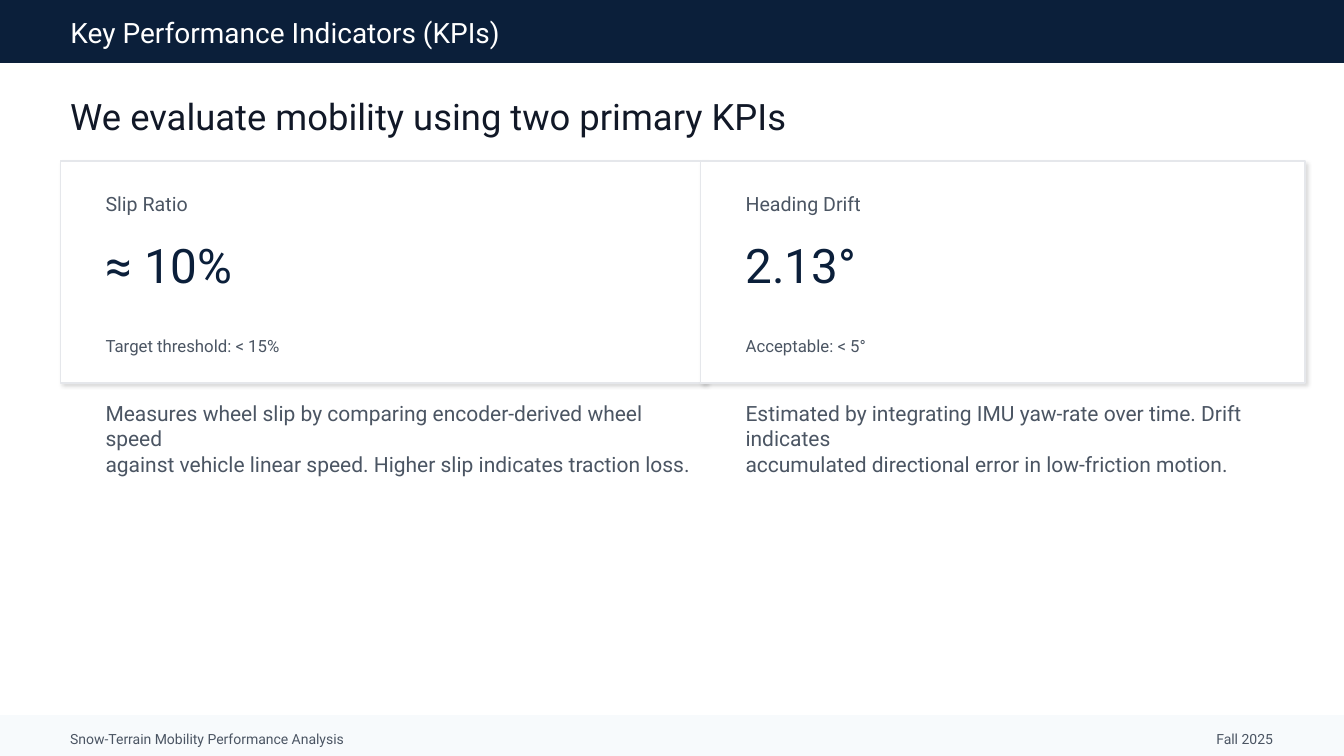
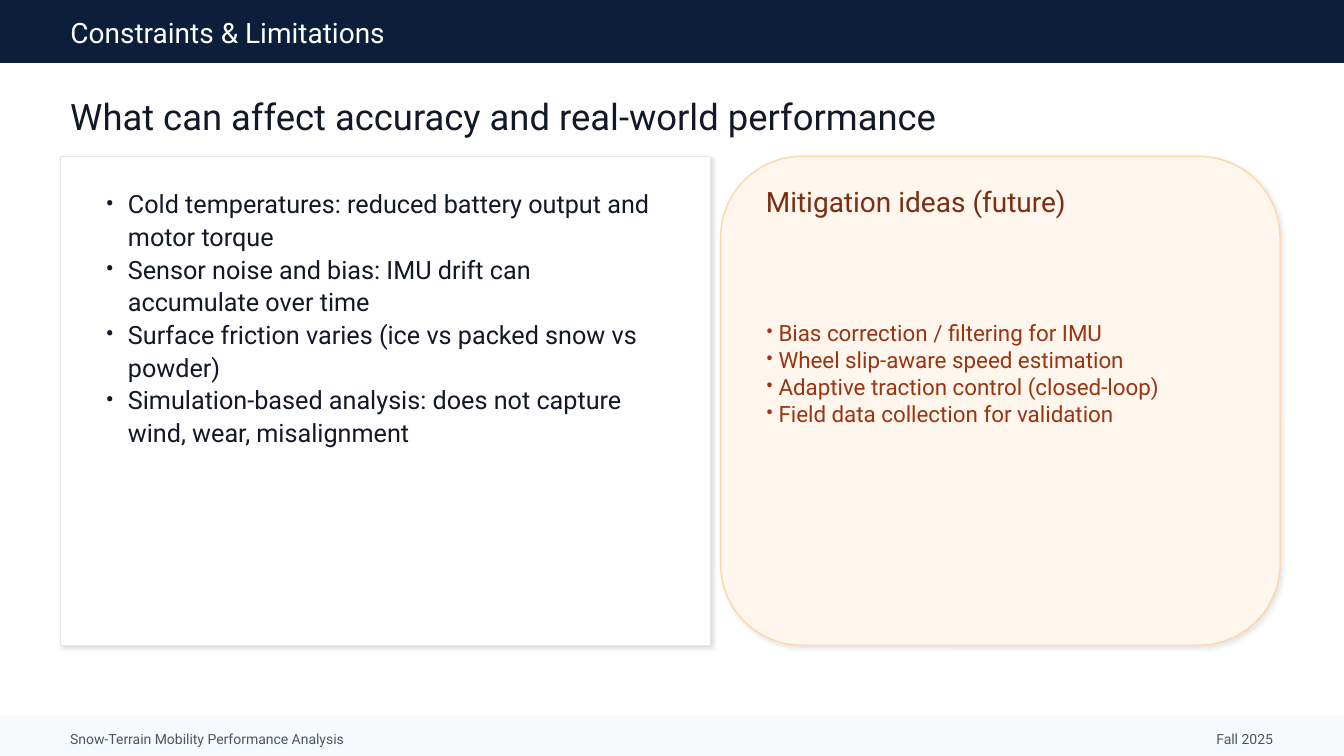
"""Build two slides on snow-terrain mobility: the KPIs and the limitations."""
from lxml.etree import SubElement
from pptx import Presentation
from pptx.dml.color import RGBColor
from pptx.enum.shapes import MSO_SHAPE
from pptx.enum.text import MSO_ANCHOR, MSO_AUTO_SIZE, PP_ALIGN
from pptx.oxml.ns import qn
from pptx.util import Cm, Pt

FONT = "Roboto"
COLORS = {
    "navy": "0B1F3A", "white": "FFFFFF", "mist": "F7FAFC", "ink": "111827",
    "gray": "4B5563", "rule": "E5E7EB", "cream": "FFF7ED", "peach": "FED7AA",
    "brown": "7C2D12", "rust": "9A3412",
}
LEFT, WIDTH = 1.52, 30.81
SLIDE_W, SLIDE_H = 33.87, 19.05
PAD = 0.89


def add_panel(s, x, y, w, h, fill, line, shape=MSO_SHAPE.RECTANGLE, shadow=0):
    """Draw a filled panel; shadow is the shadow's opacity in percent."""
    sp = s.shapes.add_shape(shape, Cm(x), Cm(y), Cm(w), Cm(h))
    sp.fill.solid()
    sp.fill.fore_color.rgb = RGBColor.from_string(COLORS[fill])
    sp.line.color.rgb = RGBColor.from_string(COLORS[line])
    sp.line.width = Pt(1)
    sp.shadow.inherit = False
    if shadow:
        effects = sp._element.spPr.find(qn("a:effectLst"))
        outer = SubElement(effects, qn("a:outerShdw"), blurRad=str(Pt(3)), dist=str(Pt(2)),
                           dir=str(45 * 60000), algn="tl", rotWithShape="0")
        color = SubElement(outer, qn("a:srgbClr"), val="000000")
        SubElement(color, qn("a:alpha"), val=str(shadow * 1000))


def add_text(s, text, x, y, w, h, size, color, holder=None, align=PP_ALIGN.LEFT,
             anchor=MSO_ANCHOR.MIDDLE, spacing=1.0, bullet_indent=0):
    """Write text, one paragraph a line, in a new box or in a placeholder."""
    if holder is None:
        sp = s.shapes.add_textbox(Cm(x), Cm(y), Cm(w), Cm(h))
    else:
        sp = holder
        sp.left, sp.top, sp.width, sp.height = Cm(x), Cm(y), Cm(w), Cm(h)
        s.shapes._spTree.append(sp._element)
    tf = sp.text_frame
    tf.word_wrap = True
    tf.auto_size = MSO_AUTO_SIZE.NONE
    tf.vertical_anchor = anchor
    tf.text = text
    for p in tf.paragraphs:
        p.alignment = align
        p.line_spacing = spacing
        p.space_before = Pt(0)
        for r in p.runs:
            r.font.name = FONT
            r.font.size = Pt(size)
            r.font.color.rgb = RGBColor.from_string(COLORS[color])
        if bullet_indent:
            pPr = p._p.get_or_add_pPr()
            pPr.set("marL", str(Cm(bullet_indent)))
            pPr.set("indent", str(-Cm(bullet_indent)))
            SubElement(pPr, qn("a:buFont"), typeface=FONT)
            SubElement(pPr, qn("a:buChar"), char="•")


prs = Presentation()
prs.slide_width, prs.slide_height = Cm(SLIDE_W), Cm(SLIDE_H)
TITLE_AND_CONTENT, TITLE_ONLY = prs.slide_layouts[1], prs.slide_layouts[5]

pages = [
    (TITLE_ONLY, "Key Performance Indicators (KPIs)",
     "We evaluate mobility using two primary KPIs"),
    (TITLE_AND_CONTENT, "Constraints & Limitations",
     "What can affect accuracy and real-world performance"),
]
for layout, title, headline in pages:
    s = prs.slides.add_slide(layout)
    add_panel(s, 0, 0, SLIDE_W, 1.57, "navy", "navy")
    add_text(s, title, LEFT, 0.3, WIDTH, 1.02, 20, "white", holder=s.shapes.title)
    add_panel(s, 0, 18.03, SLIDE_W, 1.02, "mist", "mist")
    add_text(s, "Snow-Terrain Mobility Performance Analysis",
             LEFT, 18.29, 20, 0.64, 10, "gray")
    add_text(s, "Fall 2025", 23.19, 18.29, 9.14, 0.64, 10, "gray", align=PP_ALIGN.RIGHT)
    add_text(s, headline, LEFT, 2.29, WIDTH, 1.27, 26, "ink")

kpi_slide, limits_slide = prs.slides

kpis = [
    (LEFT, 16.26, "Slip Ratio", "≈ 10%", "Target threshold: < 15%",
     "Measures wheel slip by comparing encoder-derived wheel speed\n"
     "against vehicle linear speed. Higher slip indicates traction loss."),
    (17.65, 15.24, "Heading Drift", "2.13°", "Acceptable: < 5°",
     "Estimated by integrating IMU yaw-rate over time. Drift indicates\n"
     "accumulated directional error in low-friction motion."),
]
for x, w, name, value, limit, description in kpis:
    add_panel(kpi_slide, x, 4.06, w, 5.59, "white", "rule", shadow=14)
    text_x, text_w = x + PAD, w - 2 * PAD
    add_text(kpi_slide, name, text_x, 4.7, text_w, 0.89, 14, "gray")
    add_text(kpi_slide, value, text_x, 5.72, text_w, 1.91, 34, "navy")
    add_text(kpi_slide, limit, text_x, 8.26, text_w, 0.89, 12, "gray")
    add_text(kpi_slide, description, text_x, 9.78, w - 1.02, 2.54, 15, "gray")

limits = "\n".join([
    "Cold temperatures: reduced battery output and motor torque",
    "Sensor noise and bias: IMU drift can accumulate over time",
    "Surface friction varies (ice vs packed snow vs powder)",
    "Simulation-based analysis: does not capture wind, wear, misalignment",
])
add_panel(limits_slide, LEFT, 3.94, 16.38, 12.32, "white", "rule", shadow=12)
add_text(limits_slide, limits, LEFT + PAD, 4.57, 14.61, 11.05, 18, "ink",
         holder=limits_slide.placeholders[1], anchor=MSO_ANCHOR.TOP,
         spacing=1.08, bullet_indent=0.56)

ideas = "\n".join([
    "Bias correction / filtering for IMU",
    "Wheel slip-aware speed estimation",
    "Adaptive traction control (closed-loop)",
    "Field data collection for validation",
])
ideas_x = 18.16
add_panel(limits_slide, ideas_x, 3.94, 14.1, 12.32, "cream", "peach",
          shape=MSO_SHAPE.ROUNDED_RECTANGLE, shadow=10)
add_text(limits_slide, "Mitigation ideas (future)",
         ideas_x + PAD, 4.57, 12.45, 1.02, 20, "brown")
add_text(limits_slide, ideas, ideas_x + PAD, 5.84, 12.7, 7.11, 16, "rust",
         bullet_indent=0.32)

prs.save("out.pptx")
